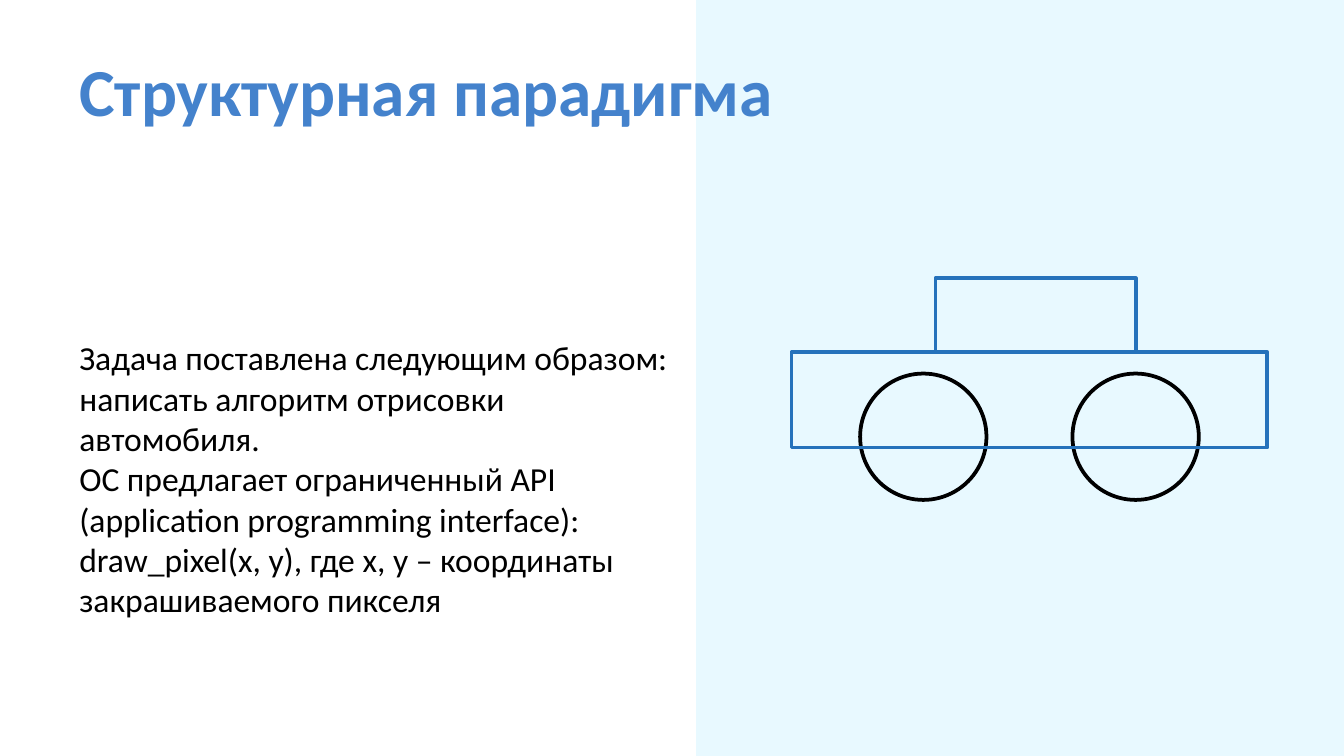
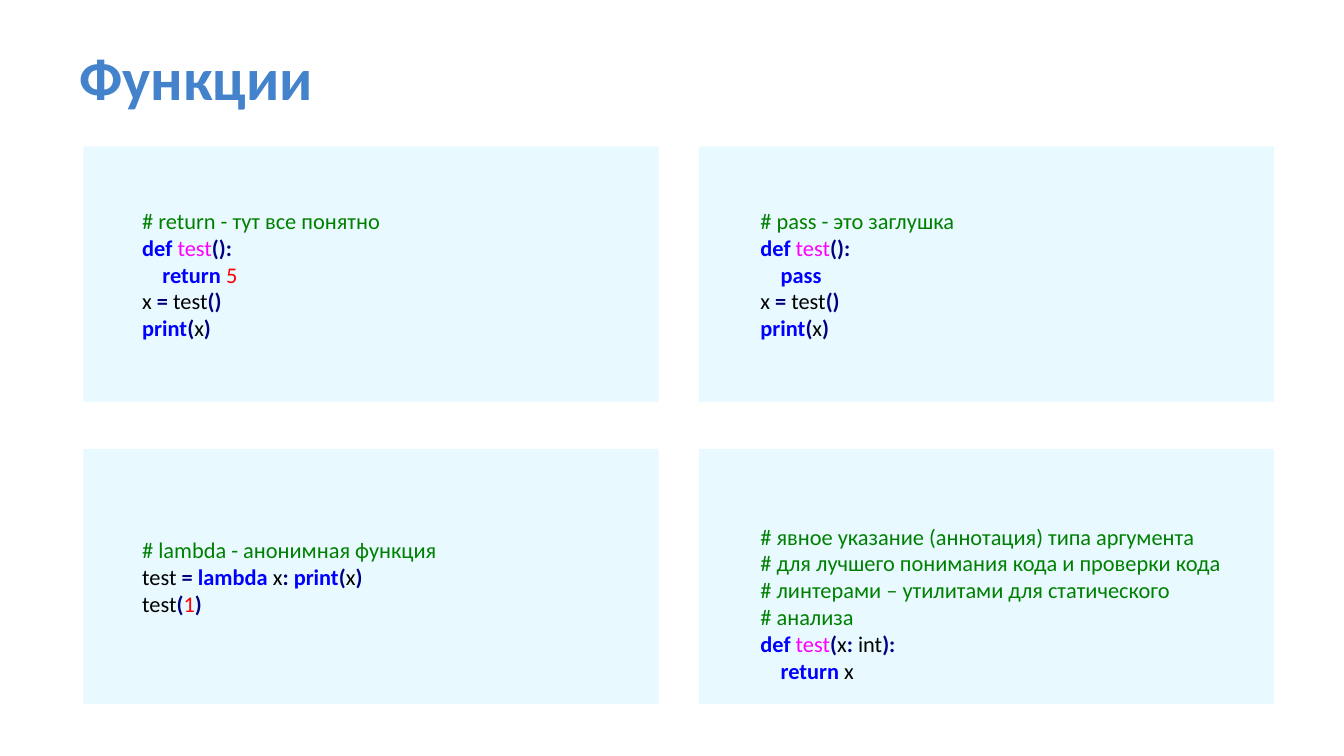
from dataclasses import dataclass
from itertools import product
from typing import NamedTuple

from pptx import Presentation
from pptx.dml.color import RGBColor
from pptx.enum.shapes import MSO_SHAPE
from pptx.enum.text import MSO_ANCHOR, MSO_AUTO_SIZE, PP_ALIGN
from pptx.oxml.xmlchemy import OxmlElement
from pptx.util import Inches, Pt

# Shared look
SLIDE_WIDTH = Inches(10)
SLIDE_HEIGHT = SLIDE_WIDTH * 9 // 16
FONT = "Calibri"
TITLE_BLUE = RGBColor(0x44, 0x82, 0xCC)
PALE_BLUE = RGBColor(0xE8, 0xF9, 0xFF)
CAR_BLUE = RGBColor(0x25, 0x72, 0xBB)
BLACK = RGBColor(0, 0, 0)
MARGIN = 0.49
INSET = Inches(0.1)
CODE_INDENT = Inches(0.15)


class Box(NamedTuple):
    left: float
    top: float
    width: float
    height: float

    def lengths(self):
        return [Inches(value) for value in self]


class Style(NamedTuple):
    color: RGBColor
    bold: bool = False


class CarPart(NamedTuple):
    outline: MSO_SHAPE
    box: Box
    color: RGBColor


@dataclass
class CodeLine:
    tokens: list
    indented: bool = False


@dataclass
class Snippet:
    box: Box
    lines: list


# Syntax highlighting
COMMENT = Style(RGBColor(0x00, 0x80, 0x00))
KEYWORD = Style(RGBColor(0x00, 0x00, 0xFF), True)
FUNCTION = Style(RGBColor(0xFF, 0x00, 0xFF))
SYMBOL = Style(RGBColor(0x00, 0x00, 0x80), True)
NUMBER = Style(RGBColor(0xFF, 0x00, 0x00))
PLAIN = Style(BLACK)
TITLE = Style(TITLE_BLUE, True)


def comment(text: str) -> CodeLine:
    return CodeLine([(text, COMMENT)])


# Content of the slides
TASK = [
    "Задача поставлена следующим образом: написать алгоритм отрисовки автомобиля.",
    "ОС предлагает ограниченный API (application programming interface): "
    "draw_pixel(x, y), где x, y – координаты закрашиваемого пикселя",
]

CAR = [
    *(CarPart(MSO_SHAPE.OVAL, Box(left, 2.78, 0.94, 0.94), BLACK) for left in (6.4, 7.98)),
    CarPart(MSO_SHAPE.RECTANGLE, Box(5.89, 2.62, 3.54, 0.71), CAR_BLUE),
    CarPart(MSO_SHAPE.RECTANGLE, Box(6.96, 2.07, 1.49, 0.55), CAR_BLUE),
]

DEF_START = [("def ", KEYWORD), ("test", FUNCTION)]
PRINT_X = [("print", KEYWORD), ("(", SYMBOL), ("x", PLAIN), (")", SYMBOL)]
DEF_TEST = CodeLine([*DEF_START, ("():", SYMBOL)])
CALL_AND_PRINT = [
    CodeLine([("x ", PLAIN), ("=", SYMBOL), (" test", PLAIN), ("()", SYMBOL)]),
    CodeLine(PRINT_X),
]

SNIPPETS = [
    Snippet(Box(0.96, 1.49, 3.41, 1.11), [
        comment("# return - тут все понятно"),
        DEF_TEST,
        CodeLine([("return ", KEYWORD), ("5", NUMBER)], indented=True),
        *CALL_AND_PRINT,
    ]),
    Snippet(Box(5.56, 1.49, 2.3, 1.11), [
        comment("# pass - это заглушка"),
        DEF_TEST,
        CodeLine([("pass", KEYWORD)], indented=True),
        *CALL_AND_PRINT,
    ]),
    Snippet(Box(5.56, 3.84, 4.17, 1.31), [
        comment("# явное указание (аннотация) типа аргумента"),
        comment("# для лучшего понимания кода и проверки кода"),
        comment("# линтерами – утилитами для статического"),
        comment("# анализа"),
        CodeLine([*DEF_START, ("(", SYMBOL), ("x", PLAIN), (":", SYMBOL),
                  (" int", PLAIN), ("):", SYMBOL)]),
        CodeLine([("return", KEYWORD), (" x", PLAIN)], indented=True),
    ]),
    Snippet(Box(0.96, 3.94, 3.5, 0.71), [
        comment("# lambda - анонимная функция"),
        CodeLine([("test ", PLAIN), ("= ", SYMBOL), ("lambda", KEYWORD),
                  (" x", PLAIN), (": ", SYMBOL), *PRINT_X]),
        CodeLine([("test", PLAIN), ("(", SYMBOL), ("1", NUMBER), (")", SYMBOL)]),
    ]),
]


def fill_placeholder(placeholder, box: Box, texts: list, size: int, style: Style) -> None:
    placeholder.left, placeholder.top, placeholder.width, placeholder.height = box.lengths()
    frame = placeholder.text_frame
    frame.text = "\n".join(texts)
    frame.word_wrap = True
    frame.auto_size = MSO_AUTO_SIZE.NONE
    frame.vertical_anchor = MSO_ANCHOR.TOP
    frame.margin_left = frame.margin_right = INSET
    frame.margin_top = frame.margin_bottom = INSET
    for paragraph in frame.paragraphs:
        paragraph.alignment = PP_ALIGN.LEFT
        paragraph.space_before = Pt(0)
        font = paragraph.font
        font.name, font.size, font.bold = FONT, Pt(size), style.bold
        font.color.rgb = style.color


def remove_bullets(frame) -> None:
    for paragraph in frame.paragraphs:
        properties = paragraph._p.get_or_add_pPr()
        properties.set("marL", "0")
        properties.set("indent", "0")
        properties.insert_element_before(
            OxmlElement("a:buNone"), "a:tabLst", "a:defRPr", "a:extLst")


def add_panel(slide, left: int, top: int, width: int, height: int) -> None:
    """Add a pale panel behind the placeholders."""
    panel = slide.shapes.add_shape(MSO_SHAPE.RECTANGLE, left, top, width, height)
    panel.shadow.inherit = False
    panel.fill.solid()
    panel.fill.fore_color.rgb = PALE_BLUE
    panel.line.fill.background()
    panel.element.getparent().insert(2, panel.element)


def add_car(slide, parts: list) -> None:
    car = slide.shapes.add_group_shape()
    for part in parts:
        outline = car.shapes.add_shape(part.outline, *part.box.lengths())
        outline.shadow.inherit = False
        outline.fill.background()
        outline.line.color.rgb = part.color
        outline.line.width = Pt(2)


def add_snippet(slide, snippet: Snippet) -> None:
    frame = slide.shapes.add_textbox(*snippet.box.lengths()).text_frame
    frame.word_wrap = True
    frame.auto_size = MSO_AUTO_SIZE.SHAPE_TO_FIT_TEXT
    for number, line in enumerate(snippet.lines):
        paragraph = frame.add_paragraph() if number else frame.paragraphs[0]
        paragraph.font.name, paragraph.font.size = FONT, Pt(12)
        if line.indented:
            paragraph._p.get_or_add_pPr().set("marL", str(CODE_INDENT))
        for text, style in line.tokens:
            run = paragraph.add_run()
            run.text = text
            run.font.bold = style.bold
            run.font.color.rgb = style.color


def build_paradigm_slide(deck) -> None:
    slide = deck.slides.add_slide(deck.slide_layouts.get_by_name("Title and Content"))
    panel_left = Inches(5.18)
    add_panel(slide, panel_left, 0, SLIDE_WIDTH - panel_left, SLIDE_HEIGHT)
    fill_placeholder(slide.shapes.title, Box(MARGIN, 0.27, 5.4, 1.99),
                     ["Структурная парадигма"], 36, TITLE)
    task = slide.placeholders[1]
    fill_placeholder(task, Box(MARGIN, 2.41, 4.59, 2.6), TASK, 18, PLAIN)
    remove_bullets(task.text_frame)
    add_car(slide, CAR)


def build_functions_slide(deck) -> None:
    slide = deck.slides.add_slide(deck.slide_layouts.get_by_name("Title Only"))
    for top, left in product((1.09, 3.34), (0.62, 5.2)):
        add_panel(slide, *Box(left, top, 4.28, 1.9).lengths())
    fill_placeholder(slide.shapes.title, Box(MARGIN, 0.2, 8, 0.76),
                     ["Функции"], 32, TITLE)
    for snippet in SNIPPETS:
        add_snippet(slide, snippet)


def main() -> None:
    deck = Presentation()
    deck.slide_width, deck.slide_height = SLIDE_WIDTH, SLIDE_HEIGHT
    build_paradigm_slide(deck)
    build_functions_slide(deck)
    deck.save("out.pptx")


if __name__ == "__main__":
    main()
